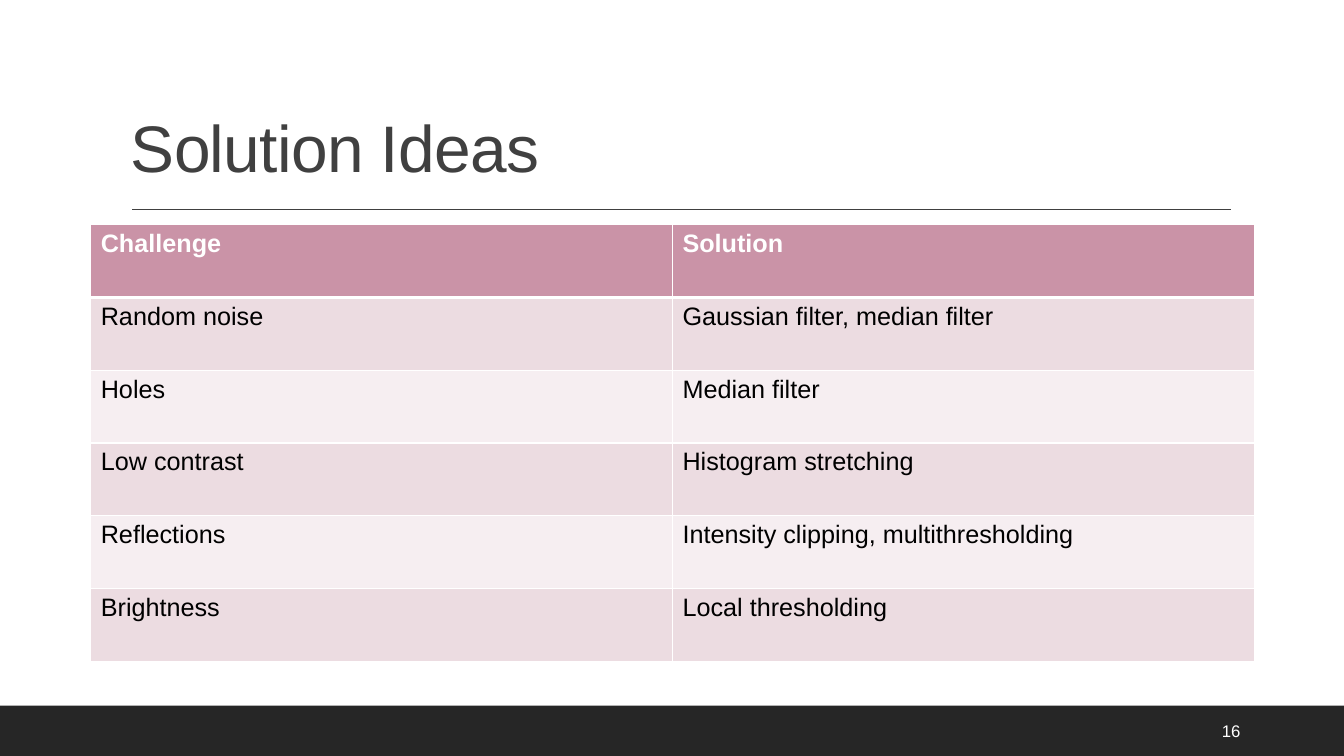
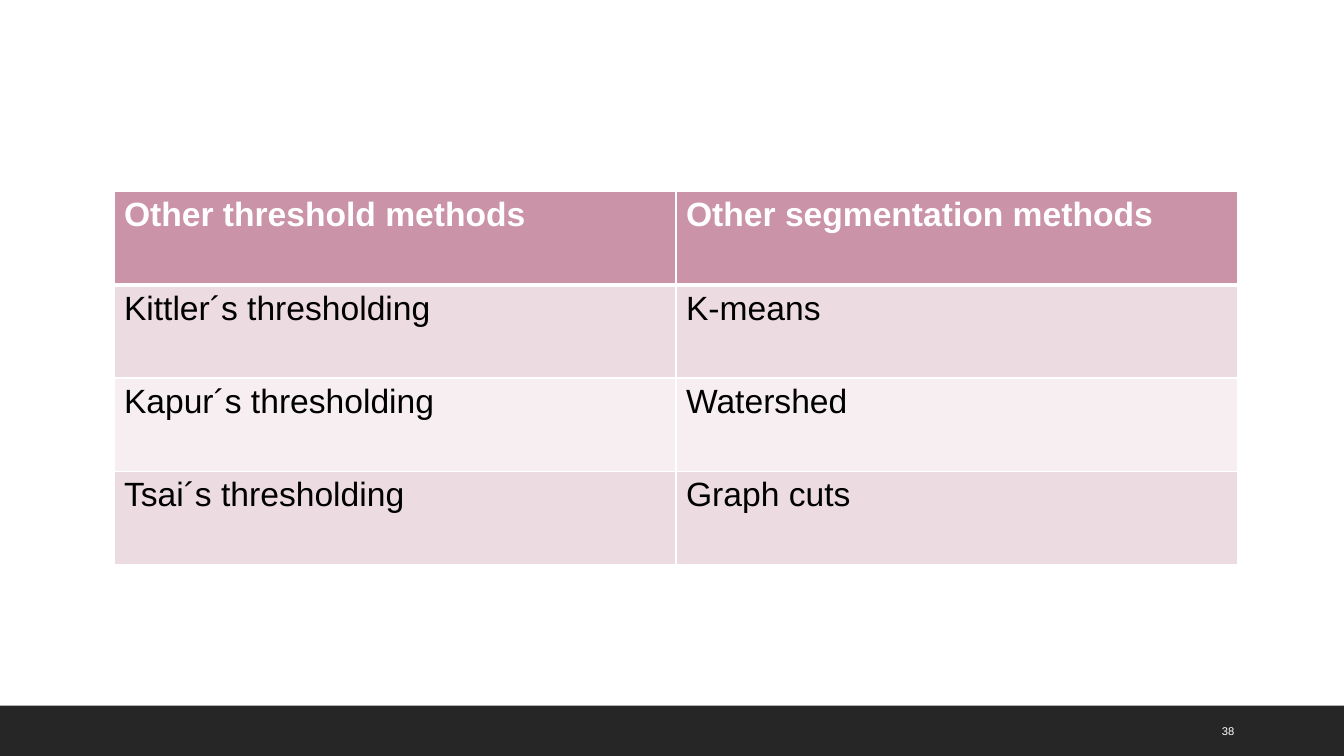
from lxml import etree
from pptx import Presentation
from pptx import util as u
from pptx.dml.color import RGBColor
from pptx.enum import shapes, text
from pptx.oxml import ns

WHITE = RGBColor(0xFF, 0xFF, 0xFF)
BLACK = RGBColor(0x00, 0x00, 0x00)
CHARCOAL = RGBColor(0x26, 0x26, 0x26)
GREY = RGBColor(0x40, 0x40, 0x40)
ROSE = RGBColor(0xCA, 0x93, 0xA7)
BANDS = (RGBColor(0xEC, 0xDC, 0xE1), RGBColor(0xF6, 0xEE, 0xF1))

FONT = "Arial"
WIDTH, HEIGHT = 13.33, 7.5
BAND_TOP = 7

IDEAS = [
    ("Challenge", "Solution"),
    ("Random noise", "Gaussian filter, median filter"),
    ("Holes", "Median filter"),
    ("Low contrast", "Histogram stretching"),
    ("Reflections", "Intensity clipping, multithresholding"),
    ("Brightness", "Local thresholding"),
]
METHODS = [
    ("Other threshold methods", "Other segmentation methods"),
    ("Kittler´s thresholding", "K-means"),
    ("Kapur´s thresholding", "Watershed"),
    ("Tsai´s thresholding", "Graph cuts"),
]


def set_attributes(target, values):
    for name, value in values.items():
        setattr(target, name, value)


def write_text(paragraph, content, size, color, bold=False):
    run = paragraph.add_run()
    run.text = content
    set_attributes(run.font, {"name": FONT, "size": u.Pt(size), "bold": bold})
    run.font.color.rgb = color
    return run


def add_text_box(slide, box, anchor):
    frame = slide.shapes.add_textbox(*map(u.Inches, box)).text_frame
    set_attributes(frame, {"word_wrap": True, "vertical_anchor": anchor})
    return frame.paragraphs[0]


def add_title(slide, content):
    paragraph = add_text_box(slide, (1.2, 0.31, 11, 1.59), text.MSO_ANCHOR.BOTTOM)
    paragraph.line_spacing = 0.9
    run = write_text(paragraph, content, 47, GREY)
    run.font._element.set("spc", "-50")
    ends = map(u.Inches, (1.31, 2.08, 12.21, 2.08))
    rule = slide.shapes.add_connector(shapes.MSO_CONNECTOR.STRAIGHT, *ends)
    rule.line.color.rgb = GREY
    rule.line.width = u.Pt(1)
    etree.SubElement(rule._element.spPr, ns.qn("a:effectLst"))


def add_footer(slide, number, size):
    box = map(u.Inches, (0, BAND_TOP, WIDTH, HEIGHT - BAND_TOP))
    band = slide.shapes.add_shape(shapes.MSO_SHAPE.RECTANGLE, *box)
    band.shadow.inherit = False
    band.fill.solid()
    band.fill.fore_color.rgb = CHARCOAL
    band.line.fill.background()
    paragraph = add_text_box(slide, (12.02, 7.05, 0.85, 0.4), text.MSO_ANCHOR.MIDDLE)
    write_text(paragraph, number, size, WHITE)


def add_borders(cell, widths):
    properties = cell._tc.get_or_add_tcPr()
    for side, width in widths.items():
        line = etree.SubElement(properties, ns.qn(f"a:ln{side}"), w=str(u.Pt(width)))
        fill = etree.SubElement(line, ns.qn("a:solidFill"))
        etree.SubElement(fill, ns.qn("a:srgbClr"), val=str(WHITE))


def add_table(slide, rows, box, size):
    frame = slide.shapes.add_table(len(rows), len(rows[0]), *map(u.Inches, box))
    for row_index, row in enumerate(rows):
        header = row_index == 0
        fill = ROSE if header else BANDS[(row_index - 1) % 2]
        color = WHITE if header else BLACK
        widths = {"L": 1, "R": 1, "T": 3 if row_index == 1 else 1, "B": 3 if header else 1}
        for column_index, content in enumerate(row):
            cell = frame.table.cell(row_index, column_index)
            add_borders(cell, widths)
            cell.fill.solid()
            cell.fill.fore_color.rgb = fill
            write_text(cell.text_frame.paragraphs[0], content, size, color, header)


def add_slide(presentation, number, number_size):
    slide = presentation.slides.add_slide(presentation.slide_layouts[6])
    add_footer(slide, number, number_size)
    return slide


def main():
    presentation = Presentation()
    size = {"slide_width": u.Inches(WIDTH), "slide_height": u.Inches(HEIGHT)}
    set_attributes(presentation, size)

    ideas = add_slide(presentation, "16", 12)
    add_title(ideas, "Solution Ideas")
    add_table(ideas, IDEAS, (0.9, 2.23, 11.54, 4.33), 18)

    methods = add_slide(presentation, "38", 8)
    add_table(methods, METHODS, (1.13, 1.9, 11.15, 3.7), 24)

    presentation.save("out.pptx")


if __name__ == "__main__":
    main()
